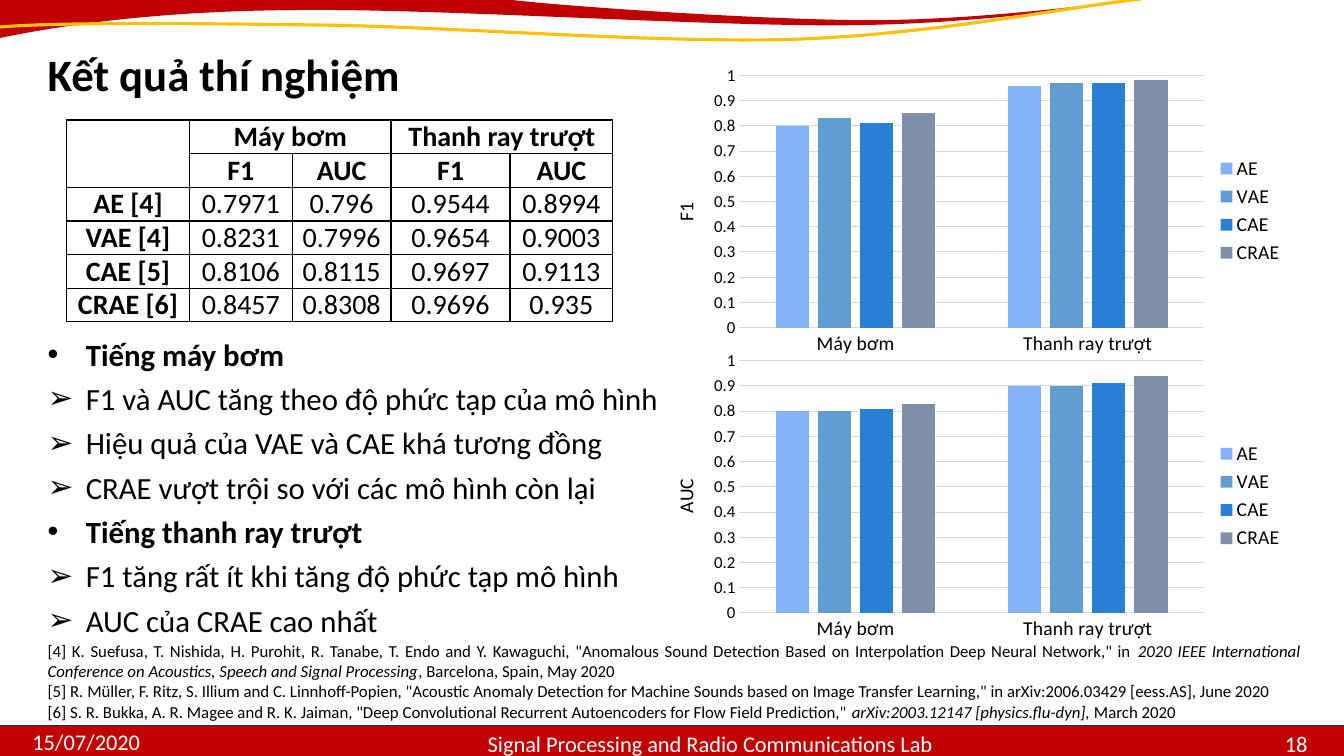
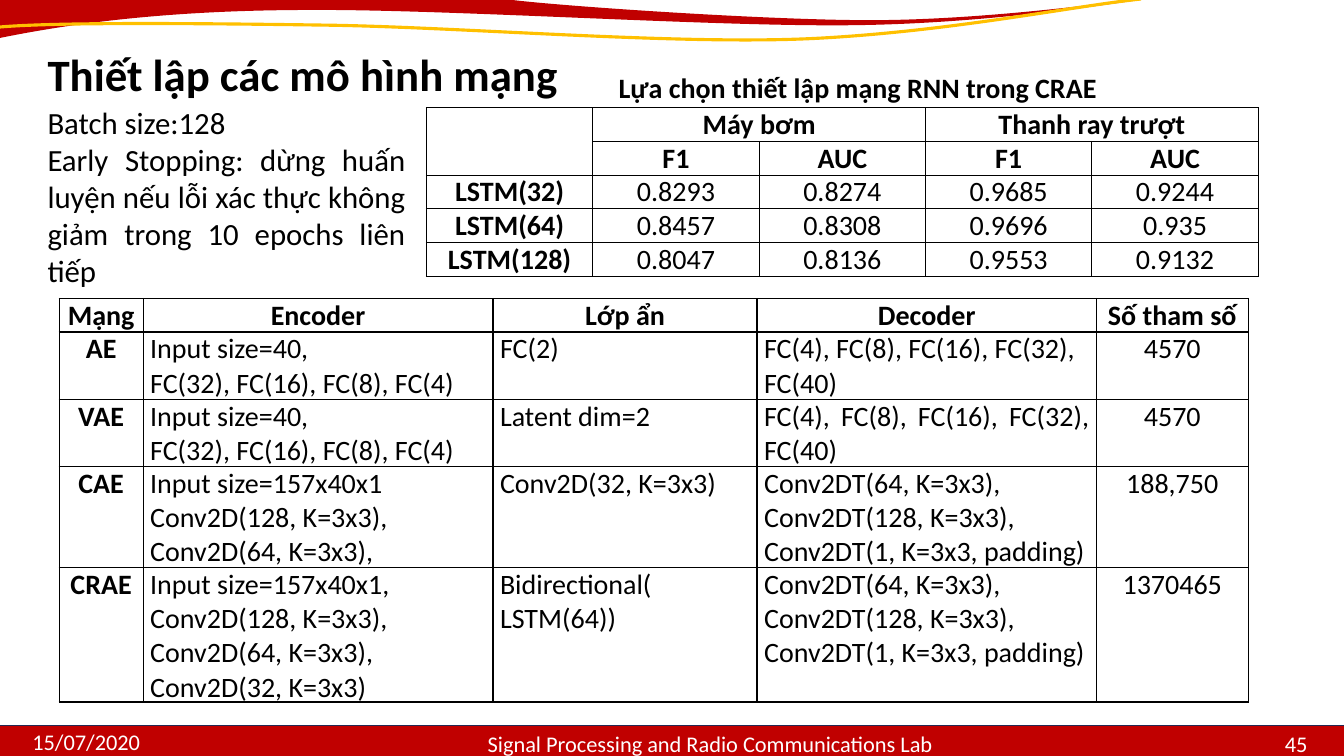
from lxml import etree
from pptx import Presentation
from pptx.chart.data import CategoryChartData
from pptx.dml.color import RGBColor
from pptx.enum.chart import XL_CHART_TYPE, XL_LEGEND_POSITION, XL_TICK_MARK
from pptx.enum.shapes import MSO_CONNECTOR, MSO_SHAPE
from pptx.enum.text import MSO_ANCHOR, PP_ALIGN
from pptx.oxml.ns import qn
from pptx.util import Inches, Pt

LEFT, CENTER, RIGHT, JUSTIFY = PP_ALIGN.LEFT, PP_ALIGN.CENTER, PP_ALIGN.RIGHT, PP_ALIGN.JUSTIFY
TOP, BOTTOM = MSO_ANCHOR.TOP, MSO_ANCHOR.BOTTOM
NO_TICK = XL_TICK_MARK.NONE

FONT = "Calibri"
COLORS = {
    "red": "C00000", "gold": "FFC000", "navy": "242852", "white": "FFFFFF",
    "black": "000000", "grid": "D9D9D9",
    "AE": "84B2F6", "VAE": "629DD1", "CAE": "297FD5", "CRAE": "7F8FA9",
}

# The slide is a grid of 100 columns by 100 rows.
WIDTH, HEIGHT = Inches(13.33), Inches(7.5)
LINE_ROWS = 4.44  # one line of table text
FOOTER_TOP = 96
MARGIN = 2.8

# Each wave is a start point, then one entry a segment: an end point for a
# straight line, or two control points and an end point for a curve.
RED_WAVE = [
    [(-0.08, -0.13)], [(37.58, -0.13)],
    [(40.58, 0.67), (56.78, 2.67), (64.73, 2.67)],
    [(72.68, 2.67), (81.83, 0.53), (85.35, -0.27)],
    [(85.35, -0.13)],
    [(83.85, 0.13), (74.25, 3.07), (63.68, 3.33)],
    [(53.1, 3.6), (32.55, 1.07), (21.9, 1.33)],
    [(10.95, 1.47), (3.9, 3.6), (-0.15, 5.07)],
    [(-0.08, 3.33), (-0.08, 1.6), (-0.08, -0.13)],
]
GOLD_WAVE = [
    [(-0.15, 3.6)],
    [(3.9, 2.93), (14.25, 3.07), (24.38, 3.33)],
    [(34.58, 3.6), (50.63, 6), (60.75, 5.07)],
    [(70.88, 4.13), (79.88, 0.8), (84.9, -0.13)],
]

PUMP, RAIL = "Máy bơm", "Thanh ray trượt"
SCORE_HEAD = [["", PUMP, "", RAIL, ""], ["", "F1", "AUC", "F1", "AUC"]]
SCORE_MERGES = [(0, 0, 1, 0), (0, 1, 0, 2), (0, 3, 0, 4)]
RESULTS = [
    ["AE [4]", "0.7971", "0.796", "0.9544", "0.8994"],
    ["VAE [4]", "0.8231", "0.7996", "0.9654", "0.9003"],
    ["CAE [5]", "0.8106", "0.8115", "0.9697", "0.9113"],
    ["CRAE [6]", "0.8457", "0.8308", "0.9696", "0.935"],
]
LSTM_RESULTS = [
    ["LSTM(32)", "0.8293", "0.8274", "0.9685", "0.9244"],
    ["LSTM(64)", "0.8457", "0.8308", "0.9696", "0.935"],
    ["LSTM(128)", "0.8047", "0.8136", "0.9553", "0.9132"],
]
DENSE_ENCODER = "Input size=40,\nFC(32), FC(16), FC(8), FC(4)"
DENSE_DECODER = "FC(4), FC(8), FC(16), FC(32), FC(40)"
CONV_ENCODER = "Conv2D(128, K=3x3),\nConv2D(64, K=3x3),"
NETWORKS = [
    ["Mạng", "Encoder", "Lớp ẩn", "Decoder", "Số tham số"],
    ["AE", DENSE_ENCODER, "FC(2)", DENSE_DECODER, "4570"],
    ["VAE", DENSE_ENCODER, "Latent dim=2", DENSE_DECODER, "4570"],
    ["CAE", "Input size=157x40x1\n" + CONV_ENCODER, "Conv2D(32, K=3x3)",
     "Conv2DT(64, K=3x3),\nConv2DT(128, K=3x3),\nConv2DT(1, K=3x3, padding)", "188,750"],
    ["CRAE", "Input size=157x40x1,\n" + CONV_ENCODER + "\nConv2D(32, K=3x3)",
     "Bidirectional(\nLSTM(64))",
     "Conv2DT(64, K=3x3),\nConv2DT(128, K=3x3), Conv2DT(1, K=3x3, padding)", "1370465"],
]
F1_SERIES = {"AE": (0.8, 0.96), "VAE": (0.83, 0.97), "CAE": (0.81, 0.97), "CRAE": (0.85, 0.98)}
AUC_SERIES = {"AE": (0.8, 0.9), "VAE": (0.8, 0.9), "CAE": (0.81, 0.91), "CRAE": (0.83, 0.94)}
FINDINGS = [
    ("Tiếng máy bơm", ["F1 và AUC tăng theo độ phức tạp của mô hình",
                       "Hiệu quả của VAE và CAE khá tương đồng",
                       "CRAE vượt trội so với các mô hình còn lại"]),
    ("Tiếng thanh ray trượt", ["F1 tăng rất ít khi tăng độ phức tạp mô hình",
                               "AUC của CRAE cao nhất"]),
]
# Runs alternate between upright and italic.
REFERENCES = [
    ['[4] K. Suefusa, T. Nishida, H. Purohit, R. Tanabe, T. Endo and Y. Kawaguchi, "Anomalous Sound '
     'Detection Based on Interpolation Deep Neural Network," in ',
     "2020 IEEE International Conference on Acoustics, Speech and Signal Processing",
     ", Barcelona, Spain, May 2020"],
    ['[5] R. Müller, F. Ritz, S. Illium and C. Linnhoff-Popien, "Acoustic Anomaly Detection for Machine '
     'Sounds based on Image Transfer Learning," in arXiv:2006.03429 [eess.AS], June 2020'],
    ['[6] S. R. Bukka, A. R. Magee and R. K. Jaiman, "Deep Convolutional Recurrent Autoencoders for '
     'Flow Field Prediction," ', "arXiv:2003.12147 [physics.flu-dyn], ", "March 2020"],
]


def color(name):
    return RGBColor.from_string(COLORS[name])


def across(columns):
    return round(WIDTH * columns / 100)


def down(rows):
    return round(HEIGHT * rows / 100)


def box(left, top, width, height):
    return across(left), down(top), across(width), down(height)


def add_bullet(paragraph, character):
    properties = paragraph._p.get_or_add_pPr()
    properties.set("marL", str(Inches(0.38)))
    properties.set("indent", str(-Inches(0.38)))
    etree.SubElement(properties, qn("a:buFont")).set("typeface", "Arial")
    etree.SubElement(properties, qn("a:buChar")).set("char", character)


def write_text(frame, text, size=20, ink="black", bold=False, align=LEFT, bullet=None,
               spacing=None, more=False):
    """Write lines, or lists of runs alternating upright and italic; more=True appends."""
    lines = text.split("\n") if isinstance(text, str) else text
    for index, line in enumerate(lines):
        paragraph = frame.add_paragraph() if more or index else frame.paragraphs[0]
        paragraph.alignment = align
        if spacing:
            paragraph.line_spacing = spacing
        if bullet:
            add_bullet(paragraph, bullet)
        for position, words in enumerate([line] if isinstance(line, str) else line):
            run = paragraph.add_run()
            run.text = words
            run.font.name, run.font.size = FONT, Pt(size)
            run.font.bold, run.font.italic = bold, position % 2 == 1
            run.font.color.rgb = color(ink)


def add_text_box(slide, place, text="", anchor=TOP, inset=True, wrap=True, **text_format):
    frame = slide.shapes.add_textbox(*box(*place)).text_frame
    frame.word_wrap, frame.vertical_anchor = wrap, anchor
    if not inset:
        frame.margin_left = frame.margin_right = frame.margin_top = frame.margin_bottom = 0
    if text:
        write_text(frame, text, **text_format)
    return frame


def add_wave(slide, outline, fill=None, line=None):
    """Build the outline from its end points, then bend the curved segments."""
    segments = [[(across(x), down(y)) for x, y in segment] for segment in outline]
    builder = slide.shapes.build_freeform(*segments[0][-1])
    builder.add_line_segments([segment[-1] for segment in segments[1:]], close=bool(fill))
    shape = builder.convert_to_shape()
    for straight, segment in zip(list(shape._element.iter(qn("a:lnTo"))), segments[1:]):
        if len(segment) == 3:
            curve = etree.Element(qn("a:cubicBezTo"))
            for x, y in segment:
                etree.SubElement(curve, qn("a:pt"), x=str(x - shape.left), y=str(y - shape.top))
            straight.getparent().replace(straight, curve)
    shape.shadow.inherit = False
    paint_fill(shape, fill)
    if line:
        shape.line.color.rgb = color(line)
        shape.line.width = Pt(2.25)
    else:
        shape.line.fill.background()


def paint_fill(shape, fill):
    if fill:
        shape.fill.solid()
        shape.fill.fore_color.rgb = color(fill)
    else:
        shape.fill.background()


def add_footer(slide, number):
    band = slide.shapes.add_shape(MSO_SHAPE.RECTANGLE, *box(0, FOOTER_TOP, 100, 100 - FOOTER_TOP))
    band.shadow.inherit = False
    paint_fill(band, "red")
    band.line.fill.background()
    edge = slide.shapes.add_connector(MSO_CONNECTOR.STRAIGHT, 0, down(FOOTER_TOP),
                                      WIDTH, down(FOOTER_TOP))
    edge.line.color.rgb = color("navy")
    edge.line.width = Pt(1)
    etree.SubElement(edge._element.spPr, qn("a:effectLst"))
    for place, text, align in [
        ((2.4, 97.2, 21.45, 2.67), "15/07/2020", LEFT),
        ((31.73, 96.27, 42.23, 3.87), "Signal Processing and Radio Communications Lab", CENTER),
        ((88.88, 97.47, 8.4, 2.67), str(number), RIGHT),
    ]:
        add_text_box(slide, place, text, anchor=BOTTOM, inset=False,
                     size=16, ink="white", align=align)


def add_slide(presentation, title, number):
    slide = presentation.slides.add_slide(presentation.slide_layouts[6])
    add_wave(slide, RED_WAVE, fill="red")
    add_wave(slide, GOLD_WAVE, line="gold")
    add_footer(slide, number)
    add_text_box(slide, (MARGIN, 5.5, 40.5, 8.53), title, size=32, bold=True)
    return slide


def add_borders(cell):
    properties = cell._tc.get_or_add_tcPr()
    for index, side in enumerate(("a:lnL", "a:lnR", "a:lnT", "a:lnB")):
        line = etree.Element(qn(side), w=str(Pt(1)))
        fill = etree.SubElement(line, qn("a:solidFill"))
        etree.SubElement(fill, qn("a:srgbClr")).set("val", COLORS["black"])
        properties.insert(index, line)


def add_table(slide, left, top, widths, rows, head_rows, merges=(), body_aligns=(CENTER,) * 5):
    """Draw a bordered table whose head rows and first column are bold."""
    heights = [LINE_ROWS * max(text.count("\n") + 1 for text in row) for row in rows]
    place = box(left, top, sum(widths), sum(heights))
    table = slide.shapes.add_table(len(rows), len(widths), *place).table
    table.first_row = table.horz_banding = False
    for column, width in zip(table.columns, widths):
        column.width = across(width)
    for row, height in zip(table.rows, heights):
        row.height = down(height)
    for r, row in enumerate(rows):
        for c, text in enumerate(row):
            cell = table.cell(r, c)
            cell.margin_left = cell.margin_right = Inches(0.07)
            cell.margin_top = cell.margin_bottom = 0
            cell.fill.background()
            add_borders(cell)
            if text:
                write_text(cell.text_frame, text, bold=r < head_rows or c == 0,
                           align=CENTER if r < head_rows else body_aligns[c])
    for first_row, first_column, last_row, last_column in merges:
        table.cell(first_row, first_column).merge(table.cell(last_row, last_column))
    return table


def set_layout(parent, index, **shares):
    """Place a chart part by shares of the chart's size."""
    for old in parent.findall(qn("c:layout")):
        parent.remove(old)
    layout = etree.Element(qn("c:layout"))
    manual = etree.SubElement(layout, qn("c:manualLayout"))
    if "w" in shares:
        etree.SubElement(manual, qn("c:layoutTarget")).set("val", "inner")
    for mode in ("xMode", "yMode"):
        etree.SubElement(manual, qn("c:" + mode)).set("val", "edge")
    for name, share in shares.items():
        etree.SubElement(manual, qn("c:" + name)).set("val", str(share))
    parent.insert(index, layout)


def add_score_chart(slide, top, score, series_values, title_top):
    data = CategoryChartData()
    data.categories = [PUMP, RAIL]
    for name, values in series_values.items():
        data.add_series(name, values)
    chart = slide.shapes.add_chart(XL_CHART_TYPE.COLUMN_CLUSTERED,
                                   *box(48.3, top, 48, 39.73), data).chart
    chart.has_title = False
    chart.font.name, chart.font.size = FONT, Pt(14)
    chart.font.color.rgb = color("black")
    chart.has_legend = True
    chart.legend.position = XL_LEGEND_POSITION.RIGHT
    chart.legend.include_in_layout = False
    set_layout(chart._chartSpace.chart.plotArea, 0, x=0.14, y=0.05, w=0.72, h=0.84)

    plot = chart.plots[0]
    plot.gap_width, plot.overlap, plot.vary_by_categories = 219, -27, False
    for series in plot.series:
        paint_fill(series.format, series.name)

    scores, machines = chart.value_axis, chart.category_axis
    for axis in (scores, machines):
        axis.major_tick_mark = axis.minor_tick_mark = NO_TICK
    scores.minimum_scale, scores.maximum_scale, scores.major_unit = 0, 1, 0.1
    scores.tick_labels.font.size = Pt(12)
    scores.format.line.fill.background()
    for line in (scores.major_gridlines.format.line, machines.format.line):
        line.color.rgb = color("grid")
        line.width = Pt(0.75)
    title = scores.axis_title
    write_text(title.text_frame, score, size=14, align=CENTER)
    title._element.find(".//" + qn("a:bodyPr")).set("rot", "-5400000")
    set_layout(title._element, 1, x=0.03, y=title_top)


def build_results(presentation):
    slide = add_slide(presentation, "Kết quả thí nghiệm", 18)
    add_score_chart(slide, 8, "F1", F1_SERIES, title_top=0.46)
    add_score_chart(slide, 45.73, "AUC", AUC_SERIES, title_top=0.43)
    frame = add_text_box(slide, (MARGIN, 42.75, 47.55, 42.8))
    for index, (heading, points) in enumerate(FINDINGS):
        write_text(frame, heading, size=22, bold=True, bullet="•", spacing=1.2, more=index > 0)
        write_text(frame, points, size=22, bullet="➢", spacing=1.2, more=True)
    add_text_box(slide, (MARGIN, 84.1, 94.7, 12.13), REFERENCES, size=12, align=JUSTIFY)
    add_table(slide, 4.95, 15.87, [9.15, 7.65, 7.35, 8.85, 7.65],
              SCORE_HEAD + RESULTS, 2, SCORE_MERGES)


def build_settings(presentation):
    slide = add_slide(presentation, "Thiết lập các mô hình mạng", 45)
    networks = add_table(slide, 4.4, 39.47, [6.25, 26.03, 19.65, 25.25, 11.3], NETWORKS, 1,
                         body_aligns=(CENTER, LEFT, LEFT, LEFT, CENTER))
    networks.cell(2, 3).text_frame.paragraphs[0].alignment = JUSTIFY
    add_table(slide, 31.73, 14.27, [12.38] * 5, SCORE_HEAD + LSTM_RESULTS, 2, SCORE_MERGES)
    add_text_box(slide, (45.15, 8.67, 37.35, 5.87), "Lựa chọn thiết lập mạng RNN trong CRAE",
                 wrap=False, bold=True, align=CENTER)
    add_text_box(slide, (MARGIN, 13.07, 28.1, 26),
                 "Batch size:128\nEarly Stopping: dừng huấn luyện nếu lỗi xác thực không giảm "
                 "trong 10 epochs liên tiếp", size=22, align=JUSTIFY)


def main():
    presentation = Presentation()
    presentation.slide_width, presentation.slide_height = WIDTH, HEIGHT
    build_results(presentation)
    build_settings(presentation)
    presentation.save("out.pptx")


if __name__ == "__main__":
    main()
